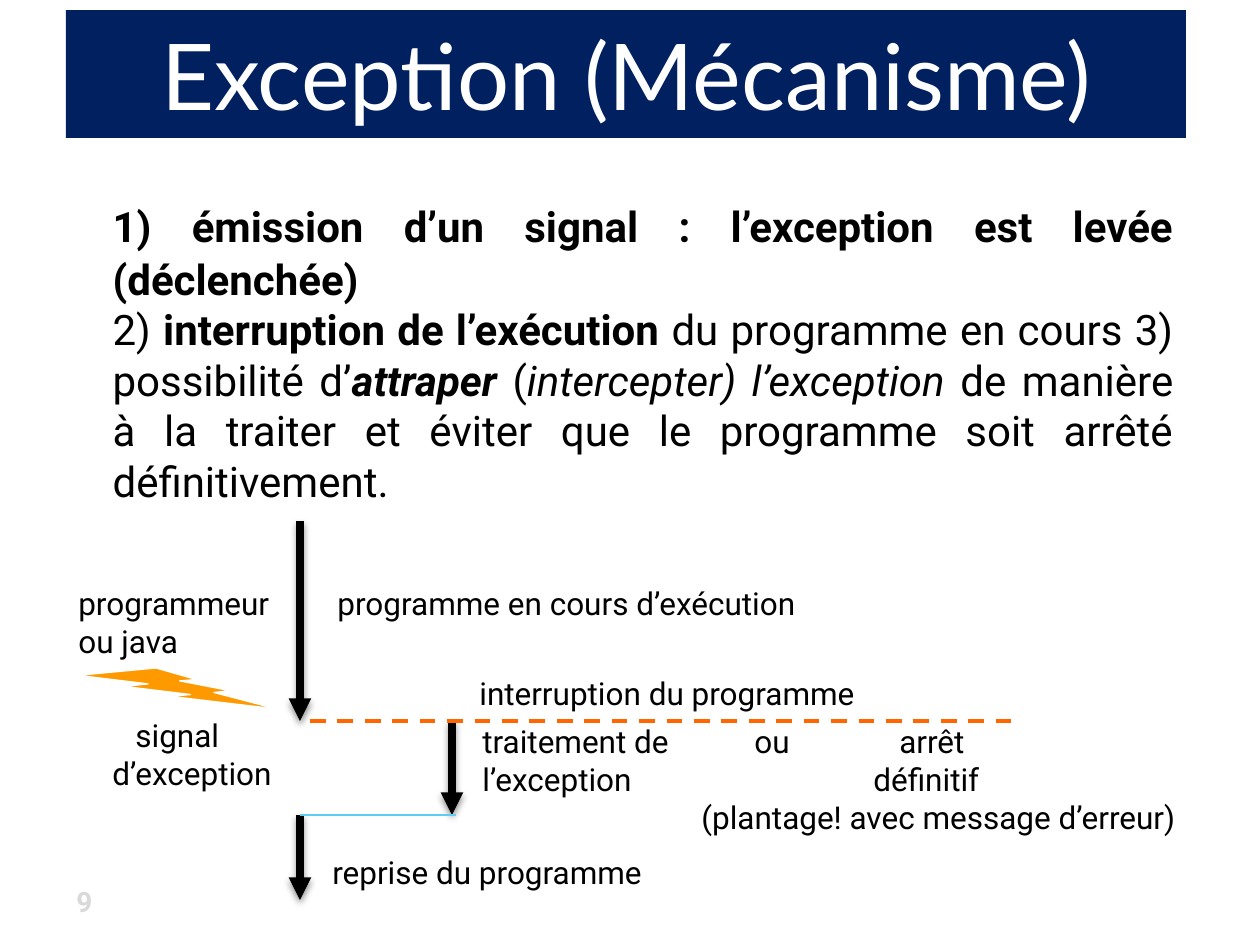
from lxml.etree import SubElement
from pptx import Presentation
from pptx.dml.color import RGBColor
from pptx.enum.dml import MSO_LINE
from pptx.enum.shapes import MSO_CONNECTOR, MSO_SHAPE
from pptx.enum.text import MSO_ANCHOR, MSO_AUTO_SIZE, PP_ALIGN
from pptx.oxml.ns import qn
from pptx.util import Emu, Pt

NAVY = RGBColor(0x00, 0x20, 0x60)
WHITE = RGBColor(0xFF, 0xFF, 0xFF)
BLACK = RGBColor(0x00, 0x00, 0x00)
AMBER = RGBColor(0xFF, 0x99, 0x00)
ORANGE = RGBColor(0xFF, 0x66, 0x00)
SKY = RGBColor(0x5E, 0xCC, 0xF3)
GREY = RGBColor(0xD9, 0xD9, 0xD9)

PX = 914400 / 126
SLIDE = (1260, 945)
HANGING = 48

TITLE = "Exception (Mécanisme)"
TITLE_BOX = (66, 10, 1120, 128)
STEPS_BOX = (52, 180, 1134, 451)
LEAD = {"size": Pt(32)}
BOLD = {"bold": True}
ITALIC = {"italic": True}
STEPS = [
    [("\t", LEAD),
     ("1) émission d’un signal : l’exception est levée (déclenchée)", BOLD)],
    [("\t2) ", {}),
     ("interruption de l’exécution", BOLD),
     (" du programme en cours 3) possibilité d’", {}),
     ("attraper ", BOLD | ITALIC),
     ("(", {}),
     ("intercepter) l’exception ", ITALIC),
     ("de manière à la traiter et éviter que le programme soit arrêté définitivement.", {})],
]

PROGRAM_X, HANDLER_X = 300, 452
START_Y, SIGNAL_Y, RESUME_Y, END_Y = 521, 721, 815, 900
ARROWS = [
    (HANDLER_X, SIGNAL_Y, RESUME_Y),
    (PROGRAM_X, START_Y, SIGNAL_Y),
    (PROGRAM_X, RESUME_Y, END_Y),
]
BOLT_BOX = (78, 668, 199, 41)

# Each label line: text, left margin, tab stops.
LABELS = [
    ((325, 578, 496, 50), [("programme en cours d’exécution", 0, [])]),
    ((100, 710, 215, 89), [("signal", 23, []), ("d’exception", 0, [])]),
    ((467, 668, 602, 50), [("interruption du programme", 0, [])]),
    ((320, 847, 341, 50), [("reprise du programme", 0, [])]),
    ((470, 716, 756, 204), [
        ("traitement de\tou\tarrêt", 0, [272, 417]),
        ("l’exception\tdéfinitif", 0, [391]),
        ("(plantage! avec message d’erreur)", 219, []),
    ]),
    ((66, 578, 224, 89), [("programmeur", 0, []), ("ou java", 0, [])]),
]
PAGE_NUMBER = "9"
PAGE_NUMBER_BOX = (64, 876, 466, 50)


def px(value):
    return Emu(round(value * PX))


def place(shape, box):
    for side, value in zip(("left", "top", "width", "height"), box):
        setattr(shape, side, px(value))


def add_run(paragraph, text, color=BLACK, **formats):
    run = paragraph.add_run()
    run.text = text
    run.font.color.rgb = color
    for key, value in ({"name": "Roboto", "size": Pt(18), "bold": False} | formats).items():
        setattr(run.font, key, value)


def paragraphs(frame, items):
    for index, item in enumerate(items):
        yield frame.paragraphs[0] if index == 0 else frame.add_paragraph(), item


def add_text_box(slide, box):
    frame = slide.shapes.add_textbox(*map(px, box)).text_frame
    frame.word_wrap = True
    return frame


def add_label(slide, box, lines):
    frame = add_text_box(slide, box)
    for paragraph, (text, margin, stops) in paragraphs(frame, lines):
        properties = paragraph._p.get_or_add_pPr()
        properties.set("marL", str(px(margin)))
        if stops:
            tabs = SubElement(properties, qn("a:tabLst"))
            for stop in stops:
                SubElement(tabs, qn("a:tab"), pos=str(px(stop)), algn="l")
        add_run(paragraph, text)


def add_line(slide, start, end, color, width):
    line = slide.shapes.add_connector(MSO_CONNECTOR.STRAIGHT, *map(px, start + end))
    line.line.color.rgb = color
    line.line.width = Pt(width)
    return line, SubElement(line._element.spPr, qn("a:effectLst"))


def add_arrow(slide, x, top, bottom):
    line, effects = add_line(slide, (x, top), (x, bottom), BLACK, 4.32)
    SubElement(line.line._get_or_add_ln(), qn("a:tailEnd"), type="triangle")
    shadow = SubElement(effects, qn("a:outerShdw"), blurRad=str(Pt(4)),
                        dist=str(Pt(2)), dir="5400000", rotWithShape="0")
    color = SubElement(shadow, qn("a:srgbClr"), val=str(BLACK))
    SubElement(color, qn("a:alpha"), val="44000")


def fill_title(title):
    place(title, TITLE_BOX)
    title.fill.solid()
    title.fill.fore_color.rgb = NAVY
    frame = title.text_frame
    frame.auto_size = MSO_AUTO_SIZE.NONE
    frame.vertical_anchor = MSO_ANCHOR.MIDDLE
    frame.paragraphs[0].alignment = PP_ALIGN.CENTER
    add_run(frame.paragraphs[0], TITLE, WHITE, name="Lato", size=Pt(52.6))


def fill_steps(body):
    place(body, STEPS_BOX)
    frame = body.text_frame
    frame.auto_size = MSO_AUTO_SIZE.NONE
    for paragraph, runs in paragraphs(frame, STEPS):
        properties = paragraph._p.get_or_add_pPr()
        properties.set("marL", str(px(HANGING)))
        properties.set("indent", str(px(-HANGING)))
        SubElement(properties, qn("a:buNone"))
        paragraph.alignment = PP_ALIGN.JUSTIFY
        paragraph.space_before = Pt(0)
        for text, formats in runs:
            add_run(paragraph, text, **({"size": Pt(24)} | formats))


def add_bolt(slide):
    bolt = slide.shapes.add_shape(MSO_SHAPE.LIGHTNING_BOLT, *map(px, BOLT_BOX))
    bolt.shadow.inherit = False
    bolt.fill.solid()
    bolt.fill.fore_color.rgb = AMBER
    bolt.line.color.rgb = WHITE
    bolt.line.width = Pt(0.75)


def main():
    deck = Presentation()
    deck.slide_width, deck.slide_height = map(px, SLIDE)
    slide = deck.slides.add_slide(deck.slide_layouts[1])
    fill_title(slide.shapes.title)
    fill_steps(slide.placeholders[1])
    for arrow in ARROWS:
        add_arrow(slide, *arrow)
    add_line(slide, (PROGRAM_X, RESUME_Y), (456, RESUME_Y), SKY, 0.75)
    for box, lines in LABELS:
        add_label(slide, box, lines)
    add_bolt(slide)
    interruption, _ = add_line(slide, (310, SIGNAL_Y), (1013, SIGNAL_Y), ORANGE, 2.25)
    interruption.line.dash_style = MSO_LINE.DASH
    number = add_text_box(slide, PAGE_NUMBER_BOX)
    number.vertical_anchor = MSO_ANCHOR.MIDDLE
    add_run(number.paragraphs[0], PAGE_NUMBER, GREY, size=Pt(16), bold=True)
    deck.save("out.pptx")


if __name__ == "__main__":
    main()
